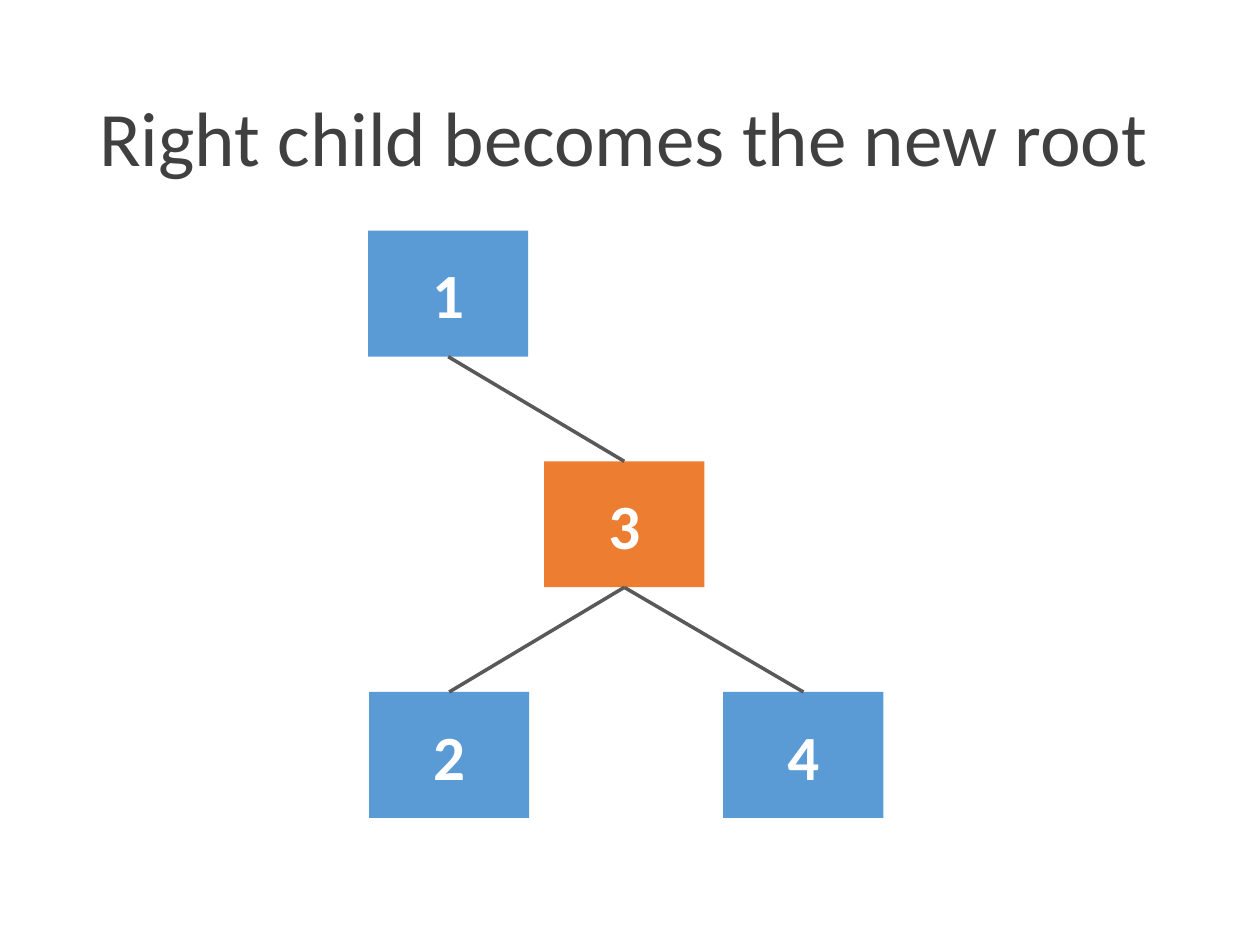
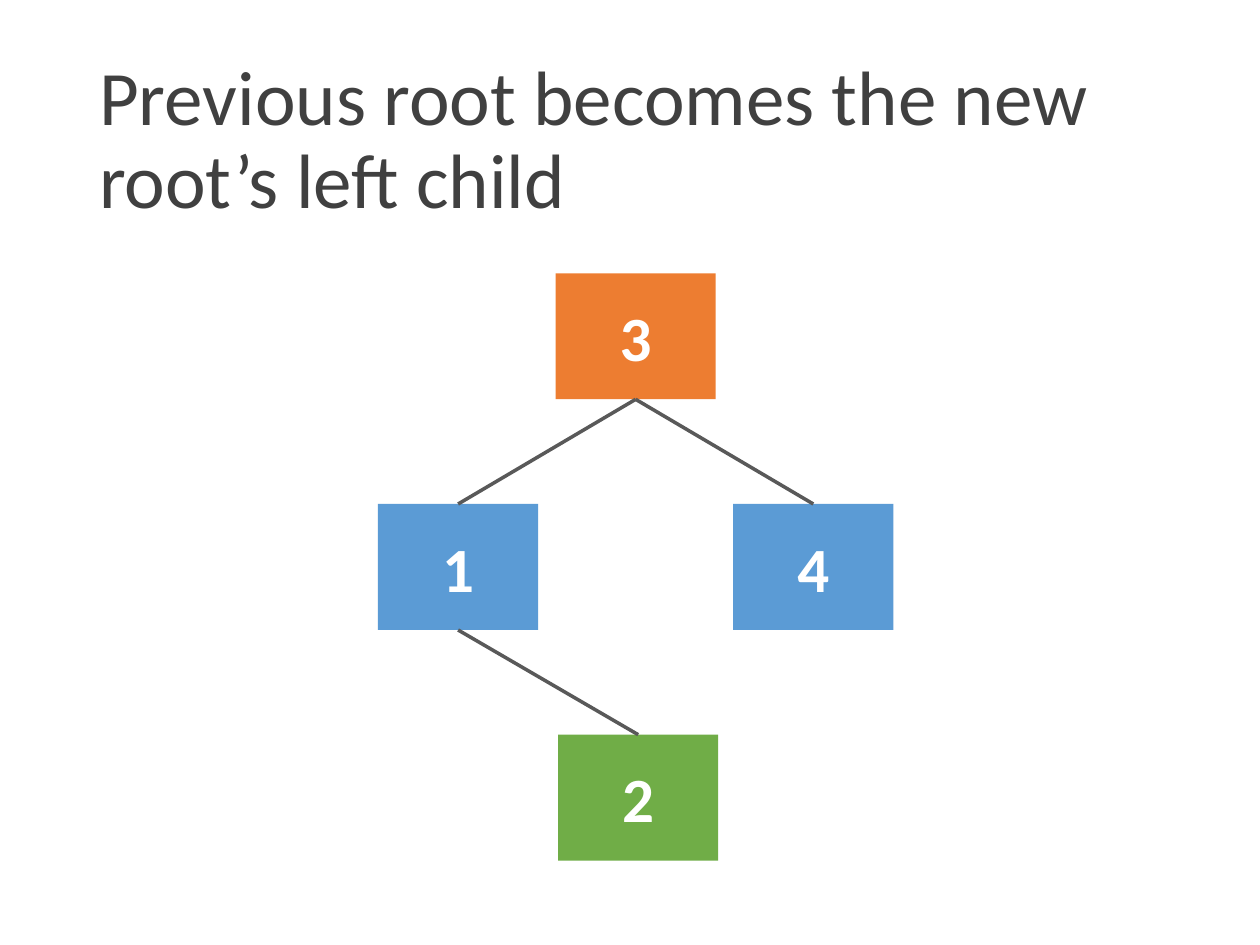
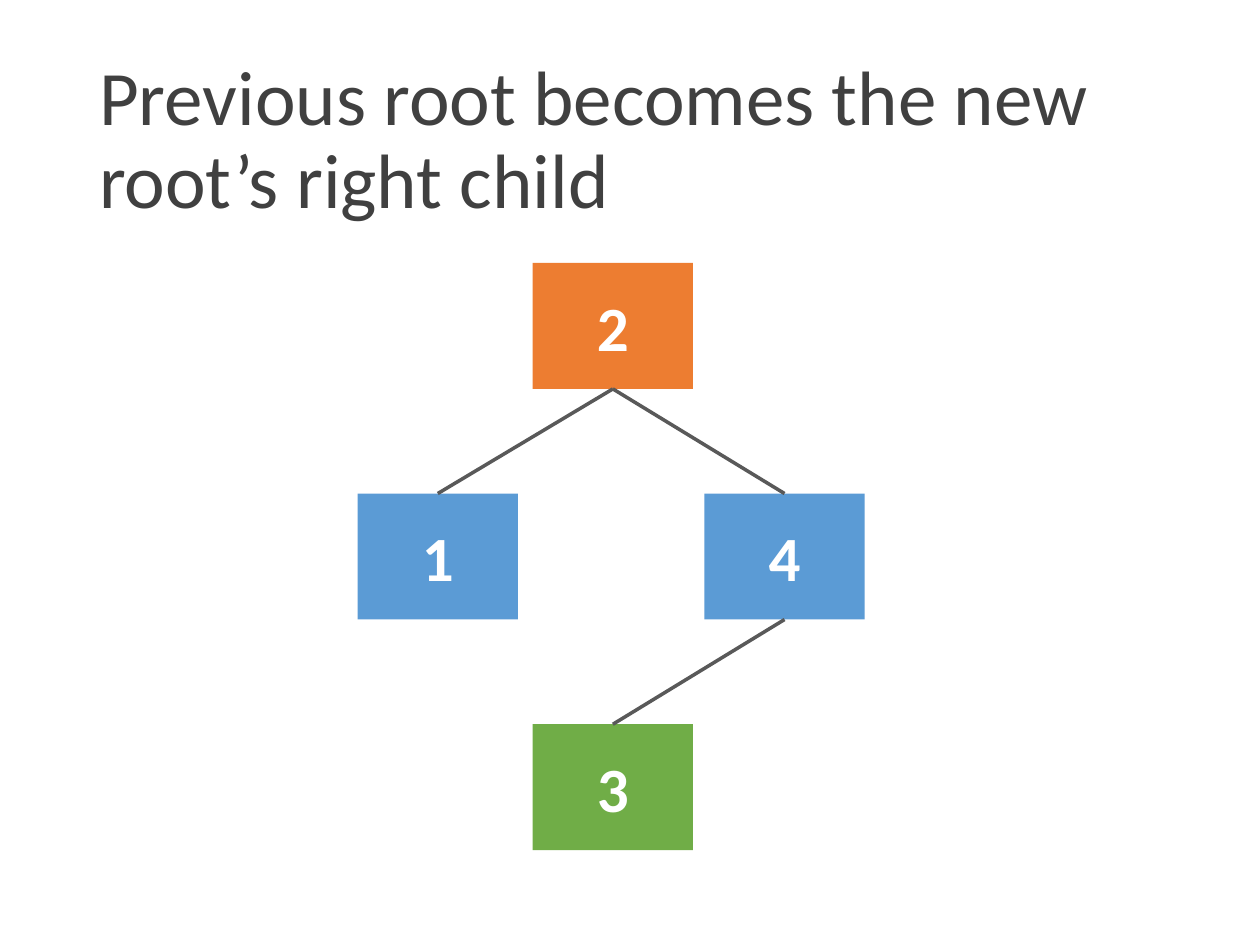
from pptx import Presentation
from pptx.dml.color import RGBColor
from pptx.enum.shapes import MSO_CONNECTOR, MSO_SHAPE
from pptx.enum.text import MSO_ANCHOR, PP_ALIGN
from pptx.oxml.ns import qn
from pptx.util import Cm, Pt
from lxml import etree

RECT = MSO_SHAPE.RECTANGLE
STRAIGHT = MSO_CONNECTOR.STRAIGHT
MIDDLE = MSO_ANCHOR.MIDDLE
LEFT, CENTER = PP_ALIGN.LEFT, PP_ALIGN.CENTER
BOTTOM_SIDE, TOP_SIDE = 2, 0

BLUE, ORANGE, GREEN = "5B9BD5", "ED7D31", "70AD47"
WHITE, TITLE_GRAY, LINE_GRAY = "FFFFFF", "404040", "595959"
NODE_W, NODE_H, LEVEL_STEP = 3.23, 2.54, 4.65

TITLE_FORMAT = {"name": "Calibri", "size": Pt(44), "bold": False}
NODE_FORMAT = {"name": "Calibri", "size": Pt(36), "bold": True}


def rgb(value):
    return RGBColor.from_string(value)


def write(sp, text, font_format, color, align, spacing):
    tf = sp.text_frame
    tf.word_wrap = True
    tf.vertical_anchor = MIDDLE
    p = tf.paragraphs[0]
    p.alignment = align
    p.line_spacing = spacing
    r = p.add_run()
    r.text = text
    for name, value in font_format.items():
        setattr(r.font, name, value)
    r.font.color.rgb = rgb(color)


TREES = [
    {
        "title": "Right child becomes the new root",
        "top": 4.65,
        "nodes": [("3", 10.97, 1, ORANGE), ("4", 14.58, 2, BLUE),
                  ("2", 7.44, 2, BLUE), ("1", 7.42, 0, BLUE)],
        "edges": ["34", "32", "13"],
    },
    {
        "title": "Previous root becomes the new root’s left child",
        "top": 5.51,
        "nodes": [("3", 11.2, 0, ORANGE), ("4", 14.78, 1, BLUE),
                  ("2", 11.25, 2, GREEN), ("1", 7.62, 1, BLUE)],
        "edges": ["34", "12", "31"],
    },
    {
        "title": "Previous root becomes the new root’s right child",
        "top": 5.3,
        "nodes": [("2", 10.74, 0, ORANGE), ("3", 10.74, 2, GREEN),
                  ("1", 7.21, 1, BLUE), ("4", 14.2, 1, BLUE)],
        "edges": ["21", "43", "24"],
    },
]

prs = Presentation()
prs.slide_width, prs.slide_height = Cm(25.4), Cm(19.05)

for tree in TREES:
    s = prs.slides.add_slide(prs.slide_layouts[6])
    s.background.fill.solid()
    s.background.fill.fore_color.rgb = rgb(WHITE)
    title = s.shapes.add_textbox(Cm(1.75), Cm(1.02), Cm(21.9), Cm(3.68))
    write(title, tree["title"], TITLE_FORMAT, TITLE_GRAY, LEFT, 0.9)

    nodes = {}
    for key, left, level, color in tree["nodes"]:
        top = tree["top"] + level * LEVEL_STEP
        sp = s.shapes.add_shape(RECT, Cm(left), Cm(top), Cm(NODE_W), Cm(NODE_H))
        sp.shadow.inherit = False
        sp.fill.solid()
        sp.fill.fore_color.rgb = rgb(color)
        sp.line.fill.background()
        write(sp, key, NODE_FORMAT, WHITE, CENTER, 1.0)
        nodes[key] = sp

    for parent, child in tree["edges"]:
        edge = s.shapes.add_connector(STRAIGHT, 0, 0, 0, 0)
        edge.begin_connect(nodes[parent], BOTTOM_SIDE)
        edge.end_connect(nodes[child], TOP_SIDE)
        edge.line.color.rgb = rgb(LINE_GRAY)
        edge.line.width = Pt(2)
        etree.SubElement(edge._element.spPr, qn("a:effectLst"))

prs.save("out.pptx")
